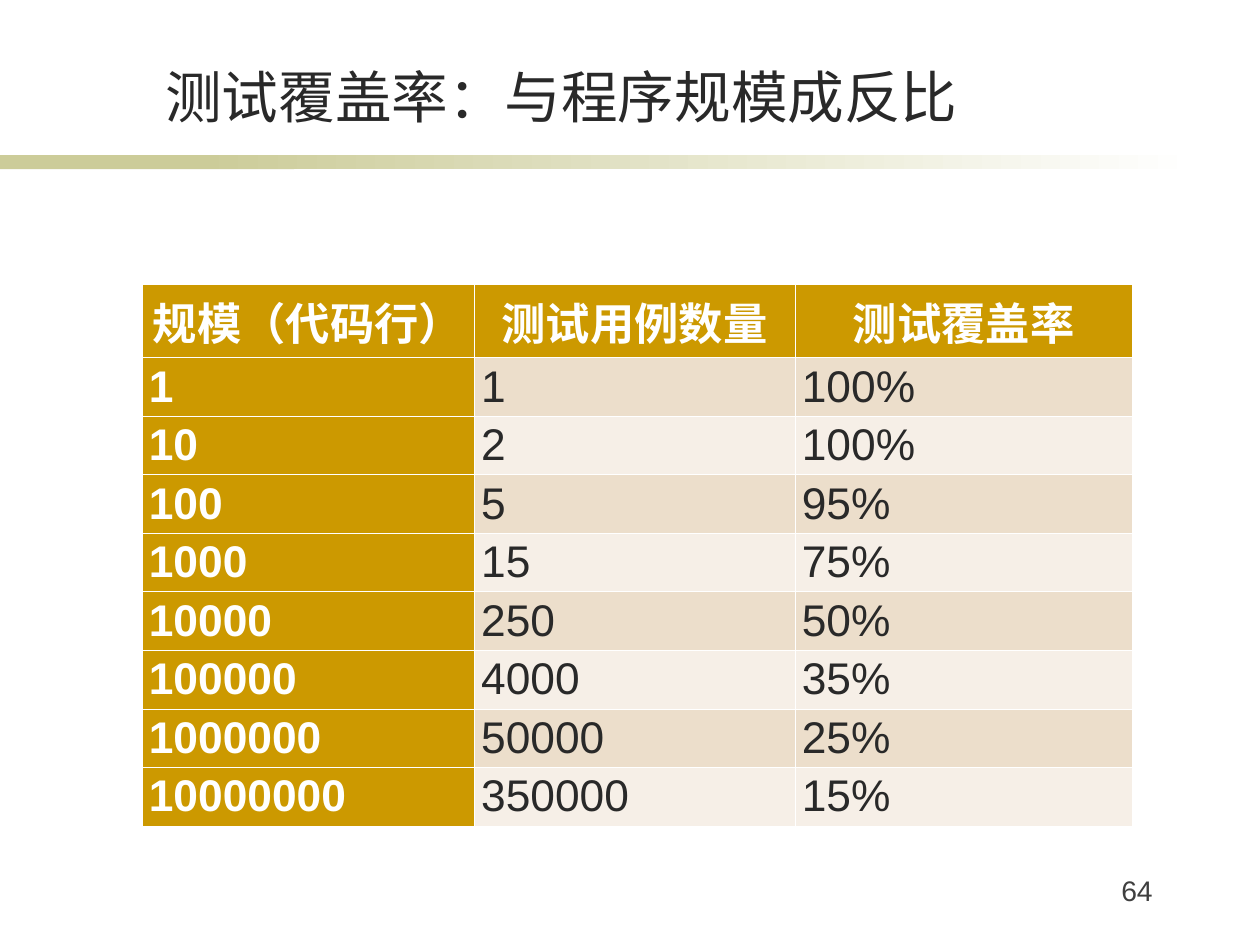
import pptx
import pptx.dml.color
import pptx.enum.shapes
import pptx.enum.text
import pptx.oxml
import pptx.oxml.ns
import pptx.util
from dataclasses import dataclass

Inches = pptx.util.Inches
Pt = pptx.util.Pt
ALIGN = pptx.enum.text.PP_ALIGN
ANCHOR = pptx.enum.text.MSO_ANCHOR


@dataclass(frozen=True)
class Theme:
    font: str = "Arial"
    ink: str = "292929"
    muted: str = "3F3F3F"
    white: str = "FFFFFF"
    gold: str = "CC9900"
    olive: str = "CCCC99"
    bands: tuple = ("ECDECB", "F6EFE7")
    title_size: int = 46
    table_size: int = 36
    number_size: int = 23
    thin: float = 0.45
    thick: float = 1.47


THEME = Theme()

HEADERS = ["规模（代码行）", "测试用例数量", "测试覆盖率"]
TEST_CASES = [1, 2, 5, 15, 250, 4000, 50000, 350000]
COVERAGE = [100, 100, 95, 75, 50, 35, 25, 15]
COLUMN_WIDTHS = [3.75, 3.62, 3.81]
ROW_HEIGHT = 0.6


def rgb(color):
    return pptx.dml.color.RGBColor.from_string(color)


def write(tf, text, size, color=THEME.ink, bold=False, align=ALIGN.LEFT,
          anchor=ANCHOR.TOP, margins=(0.14, 0.07)):
    """Put one formatted paragraph into a text frame."""
    tf.word_wrap = True
    tf.vertical_anchor = anchor
    tf.margin_left = tf.margin_right = Inches(margins[0])
    tf.margin_top = tf.margin_bottom = Inches(margins[1])
    p = tf.paragraphs[0]
    p.alignment = align
    r = p.add_run()
    r.text = text
    r.font.name = THEME.font
    r.font.size = Pt(size)
    r.font.bold = bold
    r.font.color.rgb = rgb(color)


def add_bar(slide, left, width, end_color=None):
    """Draw a piece of the title rule, fading when end_color is given."""
    sp = slide.shapes.add_shape(pptx.enum.shapes.MSO_SHAPE.RECTANGLE,
                                Inches(left), Inches(1.75), Inches(width), Inches(0.16))
    sp.shadow.inherit = False
    sp.line.fill.background()
    if end_color:
        sp.fill.gradient()
        sp.fill.gradient_angle = 0
        for stop, color in zip(sp.fill.gradient_stops, (THEME.olive, end_color)):
            stop.color.rgb = rgb(color)
    else:
        sp.fill.solid()
        sp.fill.fore_color.rgb = rgb(THEME.olive)


def set_borders(cell, top, bottom):
    """Give a cell white borders; side borders are always thin."""
    tc_pr = cell._tc.get_or_add_tcPr()
    widths = {"lnL": THEME.thin, "lnR": THEME.thin, "lnT": top, "lnB": bottom}
    for i, (tag, width) in enumerate(widths.items()):
        tc_pr.insert(i, pptx.oxml.parse_xml(
            f'<a:{tag} {pptx.oxml.ns.nsdecls("a")} w="{Pt(width)}">'
            f'<a:solidFill><a:srgbClr val="{THEME.white}"/></a:solidFill></a:{tag}>'))


def fill_cell(cell, text, row, col):
    """Style one cell by its place: header row, first column or banded body."""
    is_header = row == 0
    is_strong = is_header or col == 0
    cell.fill.solid()
    cell.fill.fore_color.rgb = rgb(THEME.gold if is_strong else THEME.bands[(row - 1) % 2])
    set_borders(cell, top=THEME.thick if row == 1 else THEME.thin,
                bottom=THEME.thick if is_header else THEME.thin)
    anchor = ANCHOR.MIDDLE if is_header else ANCHOR.TOP
    cell.vertical_anchor = anchor
    cell.margin_left = cell.margin_right = Inches(0.08)
    cell.margin_top = cell.margin_bottom = Inches(0.05)
    write(cell.text_frame, text, THEME.table_size, bold=is_strong, anchor=anchor,
          color=THEME.white if is_strong else THEME.ink,
          align=ALIGN.CENTER if is_header else ALIGN.JUSTIFY, margins=(0.08, 0.05))


def add_coverage_table(slide):
    rows = [HEADERS] + [[str(10 ** i), str(cases), f"{percent}%"]
                        for i, (cases, percent) in enumerate(zip(TEST_CASES, COVERAGE))]
    table = slide.shapes.add_table(
        len(rows), len(HEADERS), Inches(1.6), Inches(3.21),
        Inches(sum(COLUMN_WIDTHS)), Inches(ROW_HEIGHT * len(rows))).table
    for column, width in zip(table.columns, COLUMN_WIDTHS):
        column.width = Inches(width)
    for row, values in enumerate(rows):
        table.rows[row].height = Inches(ROW_HEIGHT)
        for col, text in enumerate(values):
            fill_cell(table.cell(row, col), text, row, col)


def add_title(slide, text):
    sp = slide.shapes.title
    sp.left, sp.top, sp.width, sp.height = map(Inches, (1.62, 0.63, 9.43, 0.9))
    sp.text_frame.auto_size = pptx.enum.text.MSO_AUTO_SIZE.NONE
    write(sp.text_frame, text, THEME.title_size, align=ALIGN.CENTER, anchor=ANCHOR.BOTTOM)


def add_page_number(slide, number):
    sp = slide.shapes.add_textbox(Inches(11.7), Inches(9.78), Inches(1.45), Inches(0.71))
    write(sp.text_frame, number, THEME.number_size, color=THEME.muted, align=ALIGN.RIGHT)


def main():
    prs = pptx.Presentation()
    prs.slide_width, prs.slide_height = Inches(14.22), Inches(10.66)
    slide = prs.slides.add_slide(prs.slide_layouts[5])

    # Title and the rule under it
    add_bar(slide, 0, 3.32)
    add_bar(slide, 2.25, 11.26, end_color=THEME.white)
    add_title(slide, "测试覆盖率：与程序规模成反比")

    # Coverage by program size
    add_coverage_table(slide)

    # Footer
    add_page_number(slide, "64")
    prs.save("out.pptx")


if __name__ == "__main__":
    main()
